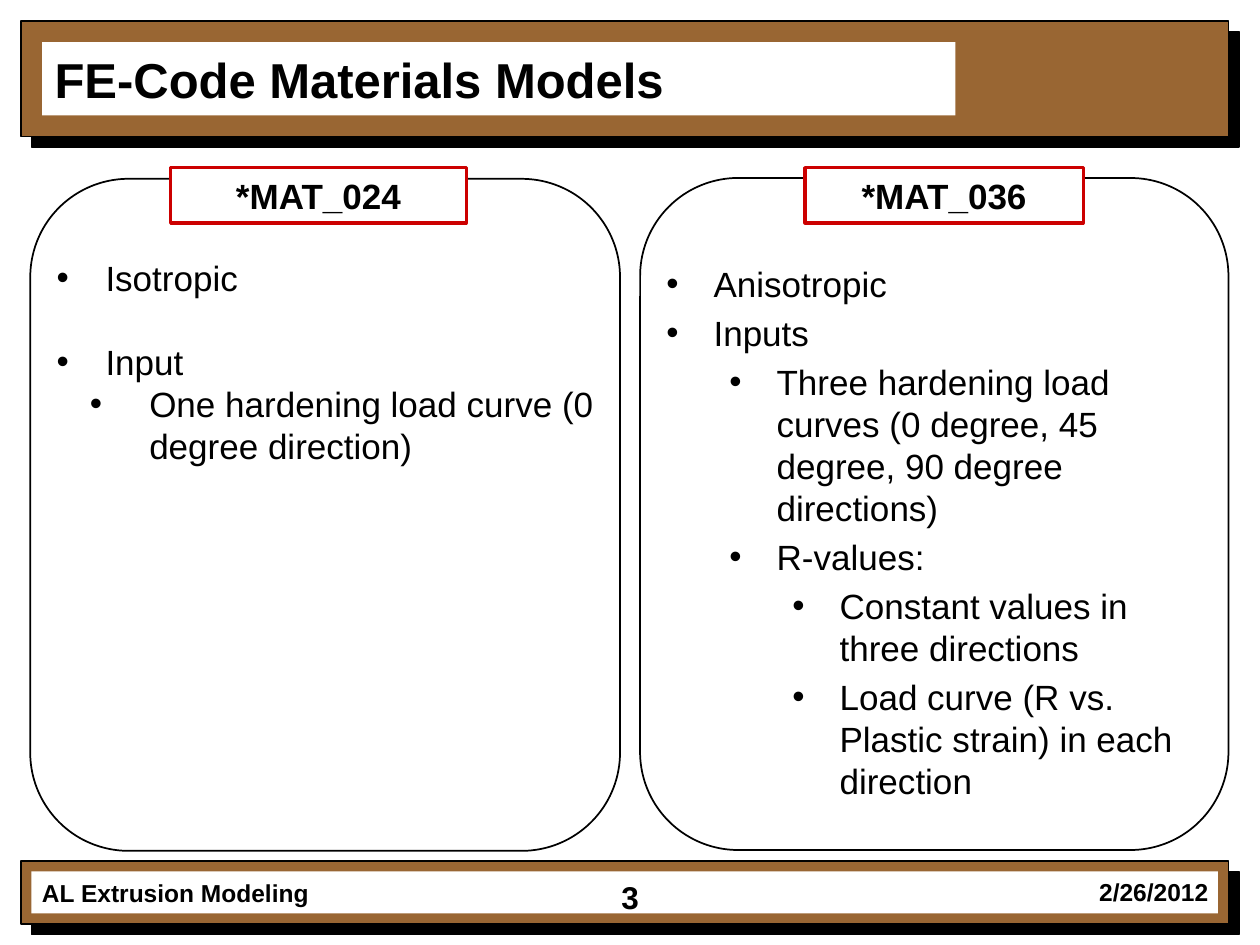
from pptx import Presentation, util as u
from pptx.dml.color import RGBColor
from pptx.enum import shapes, text
from lxml import etree

Pt = u.Pt
NS = "http://schemas.openxmlformats.org/drawingml/2006/main"
LEFT, CENTER, RIGHT = text.PP_ALIGN.LEFT, text.PP_ALIGN.CENTER, text.PP_ALIGN.RIGHT
RECT, ROUND = shapes.MSO_SHAPE.RECTANGLE, shapes.MSO_SHAPE.ROUNDED_RECTANGLE


def color(target, value):
    target.rgb = RGBColor.from_string(value)


def write(tf, content, size=20, bold=False, align=LEFT, margin=None, before=0, spacing=None, inset=7.2,
          anchor=text.MSO_ANCHOR.TOP, first=True):
    tf.word_wrap = True
    tf.vertical_anchor = anchor
    tf.margin_left = tf.margin_right = Pt(inset)
    tf.margin_top = tf.margin_bottom = Pt(3.6)
    p = tf.paragraphs[0] if first else tf.add_paragraph()
    p.alignment = align
    p.space_before = Pt(before)
    if spacing:
        p.line_spacing = Pt(spacing)
    if margin:
        level, left, hang = margin
        p.level = level
        pPr = p._p.get_or_add_pPr()
        pPr.set("marL", str(Pt(left)))
        pPr.set("indent", str(-Pt(hang)))
        etree.SubElement(pPr, f"{{{NS}}}buFont", typeface="Arial")
        etree.SubElement(pPr, f"{{{NS}}}buChar", char="•")
    r = p.add_run()
    r.text = content
    r.font.name, r.font.size, r.font.bold = "Arial", Pt(size), bold
    color(r.font.color, "000000")


prs = Presentation()
prs.slide_width, prs.slide_height = Pt(720), Pt(540)
s = prs.slides.add_slide(prs.slide_layouts[5])

rectangles = [
    (RECT, 12, 492, 690, 36, "996633", "000000", 0.75),
    (RECT, 18, 498, 678, 24, "FFFFFF", None, 0),
    (RECT, 12, 12, 690, 66, "996633", "000000", 0.75),
    (ROUND, 17.3, 102.2, 337, 384, None, "000000", 1),
    (ROUND, 365.8, 101.7, 336.2, 384, None, "000000", 1),
]
for kind, x, y, w, h, fill, line, weight in rectangles:
    sp = s.shapes.add_shape(kind, Pt(x), Pt(y), Pt(w), Pt(h))
    sp.shadow.inherit = False
    if fill:
        sp.fill.solid()
        color(sp.fill.fore_color, fill)
    else:
        sp.fill.background()
    if line:
        color(sp.line.color, line)
        sp.line.width = Pt(weight)
    else:
        sp.line.fill.background()
    if fill == "996633":
        effects = sp.element.spPr.find(f"{{{NS}}}effectLst")
        shadow = etree.SubElement(effects, f"{{{NS}}}outerShdw", dist=str(Pt(8.5)), dir="2700000",
                                  algn="ctr", rotWithShape="0")
        etree.SubElement(shadow, f"{{{NS}}}srgbClr", val="000000")

title = s.shapes.title
title.left, title.top, title.width, title.height = Pt(24), Pt(24), Pt(522), Pt(42)
title.fill.solid()
color(title.fill.fore_color, "FFFFFF")
write(title.text_frame, "FE-Code Materials Models", size=28, bold=True, anchor=text.MSO_ANCHOR.MIDDLE)
s.shapes.element.append(title.element)

for content, x, y, w, h, size, align, inset in [
    ("AL Extrusion Modeling", 24, 498, 252, 24, 14, LEFT, 0),
    ("3", 315, 498, 90, 18, 18, CENTER, 7.2),
    ("2/26/2012", 517, 497.5, 173.5, 24, 14, RIGHT, 0),
]:
    sp = s.shapes.add_textbox(Pt(x), Pt(y), Pt(w), Pt(h))
    write(sp.text_frame, content, size=size, bold=True, align=align, inset=inset)

for content, x, w in [("*MAT_024", 97.5, 169), ("*MAT_036", 460, 159)]:
    sp = s.shapes.add_shape(RECT, Pt(x), Pt(95.8), Pt(w), Pt(31.7))
    sp.shadow.inherit = False
    sp.fill.solid()
    color(sp.fill.fore_color, "FFFFFF")
    color(sp.line.color, "CC0000")
    sp.line.width = Pt(1.75)
    write(sp.text_frame, content, bold=True, align=CENTER, anchor=text.MSO_ANCHOR.MIDDLE)

isotropic = [
    ("Isotropic", (0, 28, 28), 0),
    ("Input", (0, 28, 28), 24),
    ("One hardening load curve (0 degree direction)", (1, 53, 34), 0),
]
anisotropic = [(content, (level, 27 + 36 * level, 27), 4) for level, content in [
    (0, "Anisotropic"),
    (0, "Inputs"),
    (1, "Three hardening load curves (0 degree, 45 degree, 90 degree directions)"),
    (1, "R-values:"),
    (2, "Constant values in three directions"),
    (2, "Load curve (R vs. Plastic strain) in each direction"),
]]
for items, x, y, w, h in [(isotropic, 25.2, 143.3, 322.6, 128), (anisotropic, 373.7, 146.2, 324, 322.6)]:
    sp = s.shapes.add_textbox(Pt(x), Pt(y), Pt(w), Pt(h))
    for i, (content, margin, before) in enumerate(items):
        write(sp.text_frame, content, margin=margin, before=before, spacing=24, first=i == 0)

prs.save("out.pptx")
